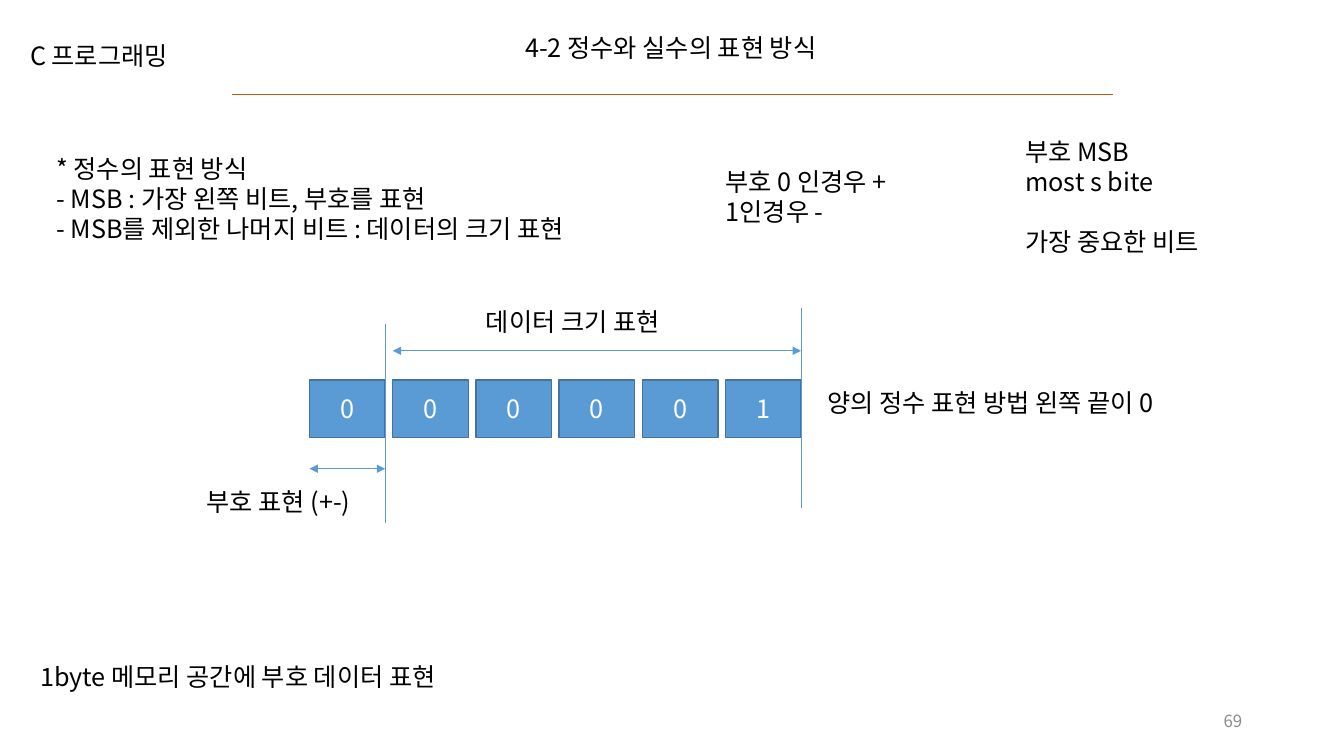
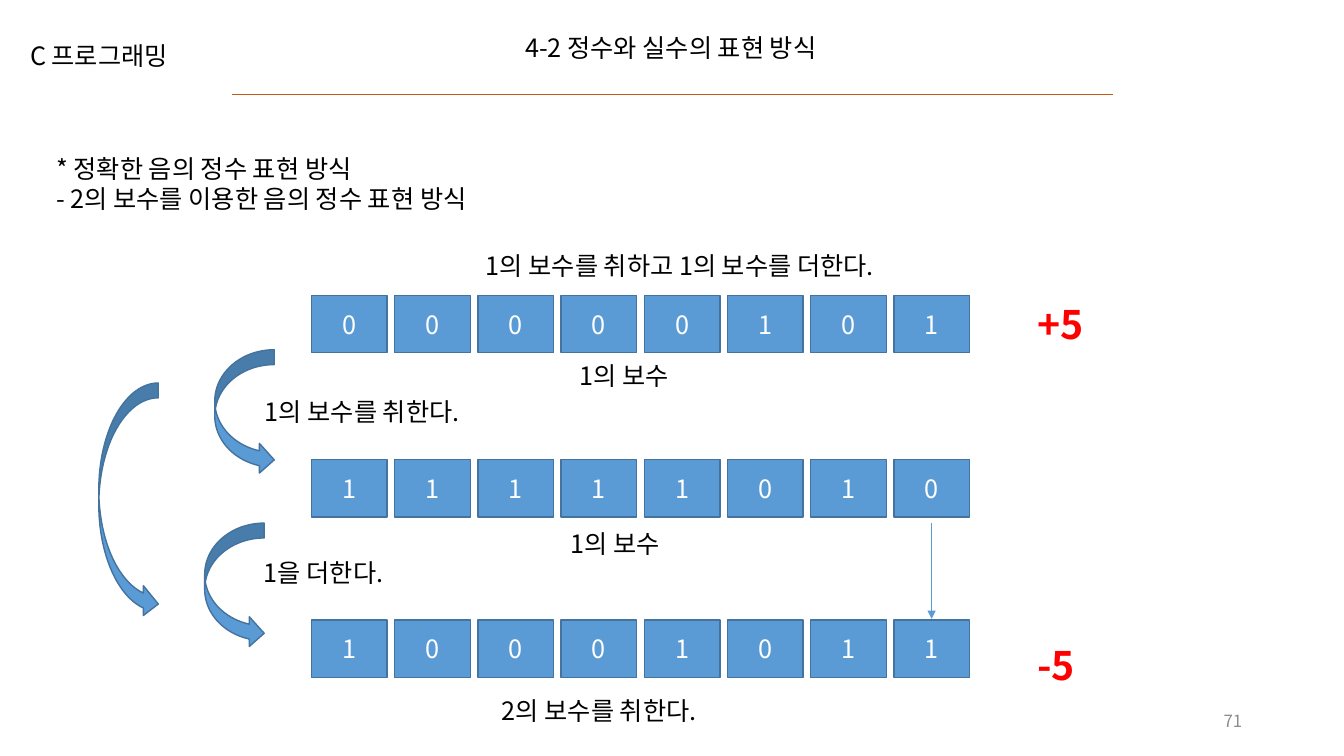
import lxml.etree
import pptx
import pptx.dml.color
import pptx.enum.shapes
import pptx.enum.text
import pptx.oxml.ns
import pptx.util

Inches = pptx.util.Inches
Pt = pptx.util.Pt
RGBColor = pptx.dml.color.RGBColor
SHAPE = pptx.enum.shapes.MSO_SHAPE
ALIGN = pptx.enum.text.PP_ALIGN
ANCHOR = pptx.enum.text.MSO_ANCHOR
qn = pptx.oxml.ns.qn

FONT = "Noto Sans CJK KR"
BLACK = RGBColor(0x00, 0x00, 0x00)
WHITE = RGBColor(0xFF, 0xFF, 0xFF)
GRAY = RGBColor(0x8C, 0x8C, 0x8C)
RED = RGBColor(0xFF, 0x00, 0x00)
ORANGE = RGBColor(0xC5, 0x5A, 0x11)
BLUE = RGBColor(0x5B, 0x9B, 0xD5)
DARK_BLUE = RGBColor(0x43, 0x73, 0x9E)

BODY_SIZE = 18
LINE_FACTOR = 1.2
BIT_WIDTH, BIT_HEIGHT, BIT_PITCH = 0.75, 0.57, 0.825


def format_text(frame, size=BODY_SIZE, color=BLACK, bold=False, align=ALIGN.LEFT):
    for paragraph in frame.paragraphs:
        paragraph.alignment = align
        paragraph.line_spacing = Pt(size * LINE_FACTOR)
        for run in paragraph.runs:
            run.font.size = Pt(size)
            run.font.bold = bold
            run.font.color.rgb = color
            run.font.name = FONT
            east_asian = lxml.etree.SubElement(run.font._element, qn("a:ea"))
            east_asian.set("typeface", FONT)


def add_text(slide, left, top, width, lines, height=None, anchor=ANCHOR.TOP, **style):
    """Place one paragraph per line; the height follows the lines unless given."""
    size = style.get("size", BODY_SIZE)
    height = height or 0.1 + len(lines) * size * LINE_FACTOR / 72
    box = slide.shapes.add_textbox(Inches(left), Inches(top), Inches(width), Inches(height))
    frame = box.text_frame
    frame.word_wrap = True
    frame.vertical_anchor = anchor
    frame.text = "\n".join(lines)
    format_text(frame, **style)
    return frame


def add_line(slide, start, end, color=BLUE, arrows=()):
    """Draw a thin line; arrows names the ends (headEnd, tailEnd) with triangles."""
    points = [Inches(value) for value in (*start, *end)]
    line = slide.shapes.add_connector(pptx.enum.shapes.MSO_CONNECTOR.STRAIGHT, *points)
    line.line.color.rgb = color
    line.line.width = Pt(0.5)
    outline = line.line._get_or_add_ln()
    for arrow in arrows:
        lxml.etree.SubElement(outline, qn(f"a:{arrow}")).set("type", "triangle")
    lxml.etree.SubElement(line._element.spPr, qn("a:effectLst"))


def add_blue_shape(slide, kind, left, top, width, height):
    shape = slide.shapes.add_shape(
        kind, Inches(left), Inches(top), Inches(width), Inches(height))
    shape.shadow.inherit = False
    shape.fill.solid()
    shape.fill.fore_color.rgb = BLUE
    shape.line.color.rgb = DARK_BLUE
    shape.line.width = Pt(1)
    return shape


def add_bit_row(slide, left, top, bits):
    for index, bit in enumerate(bits):
        cell = add_blue_shape(slide, SHAPE.RECTANGLE, left + index * BIT_PITCH, top,
                              BIT_WIDTH, BIT_HEIGHT)
        cell.text_frame.vertical_anchor = ANCHOR.MIDDLE
        cell.text_frame.text = bit
        format_text(cell.text_frame, color=WHITE, align=ALIGN.CENTER)


def add_lesson_slide(deck, page_number, outline):
    """Add a slide with the shared header, page number and opening outline."""
    slide = deck.slides.add_slide(deck.slide_layouts[6])
    add_line(slide, (2.3, 0.94), (11.04, 0.94), ORANGE)
    add_text(slide, 0.2, 0.35, 1.71, ["C 프로그래밍"])
    add_text(slide, 5.11, 0.27, 3.46, ["4-2 정수와 실수의 표현 방식"])
    add_text(slide, 0.46, 1.47, 5.88, outline)
    add_text(slide, 9.42, 6.95, 3, [page_number], height=0.4, anchor=ANCHOR.MIDDLE,
             size=12, color=GRAY, align=ALIGN.RIGHT)
    return slide


def add_sign_diagram(slide, left, top, bits):
    """Show a bit row split into its sign bit and its data bits."""
    sign_right = left + BIT_WIDTH
    data_left = left + BIT_PITCH
    data_right = left + (len(bits) - 1) * BIT_PITCH + BIT_WIDTH
    both_ends = ("headEnd", "tailEnd")
    add_bit_row(slide, left, top, bits)
    add_text(slide, left + 1.65, top - 0.78, 2.15, ["데이터 크기 표현"])
    add_line(slide, (sign_right, top - 0.56), (sign_right, top + 1.42))
    add_line(slide, (data_left, top - 0.29), (data_right, top - 0.29), arrows=both_ends)
    add_line(slide, (data_right, top - 0.71), (data_right, top + 1.27))
    add_text(slide, left - 1.12, top + 1.01, 1.83, ["부호 표현 (+-)"])
    add_line(slide, (left, top + 0.88), (sign_right, top + 0.88), arrows=both_ends)
    add_text(slide, data_right + 0.16, top + 0.02, 3.91, ["양의 정수 표현 방법 왼쪽 끝이 0"])


def build_integer_slide(deck):
    slide = add_lesson_slide(deck, "69", [
        "* 정수의 표현 방식",
        "- MSB : 가장 왼쪽 비트, 부호를 표현",
        "- MSB를 제외한 나머지 비트 : 데이터의 크기 표현",
    ])
    add_sign_diagram(slide, 3.07, 3.77, "000001")
    add_text(slide, 0.3, 6.51, 4.66, ["1byte 메모리 공간에 부호 데이터 표현"])
    add_text(slide, 7.1, 1.6, 2.05, ["부호 0 인경우 +", "1인경우 -"])
    msb_note = add_text(slide, 10.07, 1.3, 2.15,
                        ["부호 MSB", "most s bite", "가장 중요한 비트"], height=1.31)
    msb_note.paragraphs[-1].space_before = Pt(BODY_SIZE * LINE_FACTOR)


def add_complement_steps(slide, left, top):
    """Stack the three bit rows that turn +5 into -5, with arrows and labels."""
    row_tops = [top, top + 1.63, top + 3.22]
    for row_top, bits in zip(row_tops, ("00000101", "11111010", "10001011")):
        add_bit_row(slide, left, row_top, bits)

    carry_x = left + 7 * BIT_PITCH + BIT_WIDTH / 2
    add_line(slide, (carry_x, row_tops[1] + 0.63), (carry_x, row_tops[2] - 0.01),
             arrows=("tailEnd",))

    for dx, dy, height in ((-0.96, 0.54, 1.24), (-1.06, 2.26, 1.24), (-2.11, 0.87, 2.34)):
        add_blue_shape(slide, SHAPE.CURVED_RIGHT_ARROW, left + dx, top + dy, 0.59, height)

    for dx, dy, width, label in (
        (1.63, -0.5, 4.52, "1의 보수를 취하고 1의 보수를 더한다."),
        (2.56, 0.6, 1.19, "1의 보수"),
        (-0.56, 0.95, 2.34, "1의 보수를 취한다."),
        (2.47, 2.26, 1.19, "1의 보수"),
        (-0.57, 2.55, 1.5, "1을 더한다."),
        (1.79, 3.92, 2.34, "2의 보수를 취한다."),
    ):
        add_text(slide, left + dx, top + dy, width, [label])

    for dy, value in ((0, "+5"), (3.38, "-5")):
        add_text(slide, left + 7.1, top + dy, 0.71, [value], size=28, color=RED, bold=True)


def build_complement_slide(deck):
    slide = add_lesson_slide(deck, "71", [
        "* 정확한 음의 정수 표현 방식",
        "- 2의 보수를 이용한 음의 정수 표현 방식",
    ])
    add_complement_steps(slide, 3.09, 2.93)


def main():
    deck = pptx.Presentation()
    deck.slide_width = Inches(13.33)
    deck.slide_height = Inches(7.5)
    build_integer_slide(deck)
    build_complement_slide(deck)
    deck.save("out.pptx")


if __name__ == "__main__":
    main()
